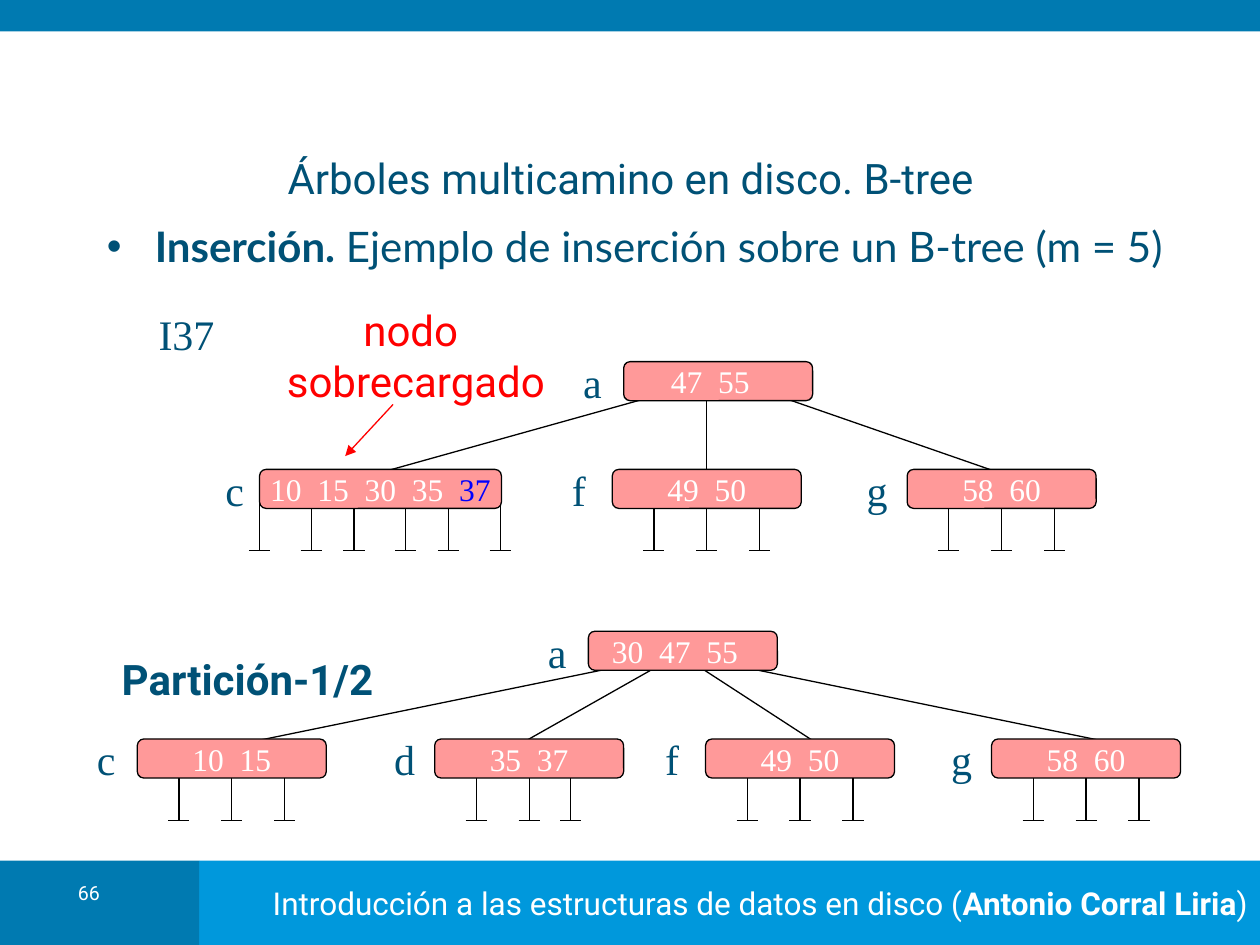
from dataclasses import dataclass

from lxml.etree import SubElement
from pptx import Presentation
from pptx.dml.color import RGBColor as Rgb
from pptx.enum.shapes import MSO_CONNECTOR as Link, MSO_SHAPE as Form
from pptx.enum.text import MSO_ANCHOR as Anchor, PP_ALIGN as Align
from pptx.oxml.ns import qn
from pptx.util import Inches, Pt

COLS, ROWS = 100, 75
WIDE, HIGH = Inches(10), Inches(7.5)


@dataclass(frozen=True)
class Theme:
    """Colours, fonts and type sizes of the slide."""
    dark: str = "007AB1"
    light: str = "0098DC"
    ink: str = "005176"
    white: str = "FFFFFF"
    black: str = "000000"
    pink: str = "FF9999"
    red: str = "FF0000"
    blue: str = "0000FF"
    head: str = "Roboto"
    body: str = "Lato"
    serif: str = "Times New Roman"
    big: float = 24
    mid: float = 18
    small: float = 11.2
    line: float = 0.75


@dataclass(frozen=True)
class Box:
    """A region measured in grid columns and rows."""
    x: float
    y: float
    w: float
    h: float

    def sub(self, x, y, w, h):
        """Return a box placed from this box's corner."""
        return Box(self.x + x, self.y + y, w, h)

    def emu(self):
        """Return left, top, width and height in slide units."""
        return (*spot(self.x, self.y), *spot(self.w, self.h))


@dataclass(frozen=True)
class Node:
    """A tree node, its edge from the root and its leaf ports."""
    name: str
    keys: tuple
    x: float
    edge: tuple = ()
    ports: tuple = (3.3, 7.5, 11.7)
    w: float = 15
    gap: float = 4.2


T = Theme()


def spot(x, y):
    """Turn grid columns and rows into slide units."""
    return round(x * WIDE / COLS), round(y * HIGH / ROWS)


def style(run, font, size, tone, bold=False):
    """Format one run."""
    run.font.name, run.font.size, run.font.bold = font, Pt(size), bold
    run.font.color.rgb = Rgb.from_string(tone)


def write(frame, parts, font, size, align=Align.LEFT, mid=True, wrap=True):
    """Fill a frame's first paragraph with (text, tone, bold) parts."""
    frame.word_wrap = wrap
    frame.vertical_anchor = Anchor.MIDDLE if mid else Anchor.TOP
    para = frame.paragraphs[0]
    para.alignment = align
    for text, tone, bold in parts:
        run = para.add_run()
        run.text = text
        style(run, font, size, tone, bold)
    return para


def label(slide, box, text, font=T.serif, size=T.big, tone=T.ink, bold=False,
          align=Align.LEFT, mid=False):
    """Place a text box with one run."""
    frame = slide.shapes.add_textbox(*box.emu()).text_frame
    return write(frame, [(text, tone, bold)], font, size, align, mid)


def block(slide, box, fill, form=Form.RECTANGLE):
    """Place a filled shape without outline."""
    shape = slide.shapes.add_shape(form, *box.emu())
    shape.shadow.inherit = False
    shape.fill.solid()
    shape.fill.fore_color.rgb = Rgb.from_string(fill)
    shape.line.fill.background()
    return shape


def stroke(slide, box, x1, y1, x2, y2, tone=T.black, arrow=False):
    """Draw a line between two points of a box."""
    ends = spot(box.x + x1, box.y + y1) + spot(box.x + x2, box.y + y2)
    link = slide.shapes.add_connector(Link.STRAIGHT, *ends)
    link.line.color.rgb = Rgb.from_string(tone)
    link.line.width = Pt(T.line)
    if arrow:
        SubElement(link.line._get_or_add_ln(), qn("a:tailEnd"), type="triangle")
    SubElement(link._element.spPr, qn("a:effectLst"))


def knot(slide, box, node, y):
    """Draw a node with its keys and name."""
    shape = block(slide, box.sub(node.x, y, node.w, 3.1), T.pink,
                  Form.ROUNDED_RECTANGLE)
    shape.adjustments[0] = 0.167
    shape.line.color.rgb = Rgb.from_string(T.black)
    shape.line.width = Pt(T.line)
    write(shape.text_frame, [(*key, False) for key in node.keys],
          T.serif, T.mid, Align.CENTER, wrap=False)
    label(slide, box.sub(node.x - node.gap, y - 0.9, 3.3, 5), node.name)


def tree(slide, box, root, kids):
    """Draw a root, its children and their empty leaves."""
    foot = 0.84
    for kid in kids:
        for port in kid.ports:
            x = kid.x + port
            stroke(slide, box, x, box.h - 4.2, x, box.h)
            stroke(slide, box, x - foot, box.h, x + foot, box.h)
        stroke(slide, box, *kid.edge)
    knot(slide, box, root, 0)
    for kid in kids:
        knot(slide, box, kid, 8.55)


def header(slide, box):
    """Place the top band, title and bulleted statement."""
    block(slide, box.sub(0, 0, box.w, 2.5), T.dark)
    label(slide, box.sub(8.3, 12, 83.5, 4.2), "Árboles multicamino en disco. B-tree",
          T.head, align=Align.CENTER, mid=True)
    frame = slide.shapes.add_textbox(*box.sub(7.5, 17, 90.5, 6).emu()).text_frame
    props = frame.paragraphs[0]._p.get_or_add_pPr()
    props.set("marL", str(Inches(0.38)))
    props.set("indent", str(-Inches(0.38)))
    tint = SubElement(props, qn("a:buClr"))
    SubElement(tint, qn("a:srgbClr"), val=T.ink)
    SubElement(props, qn("a:buFont"), typeface="Arial")
    SubElement(props, qn("a:buChar"), char="•")
    write(frame, [("Inserción.", T.ink, True),
                  (" Ejemplo de inserción sobre un B-tree (m = 5)", T.ink, False)],
          T.body, T.big, mid=False)


def footer(slide, box):
    """Place the bottom bands, course name and page number."""
    block(slide, box.sub(0, 0, 18.3, box.h), T.dark)
    band = block(slide, box.sub(15.8, 0, 84.2, box.h), T.light)
    write(band.text_frame,
          [("Introducción a las estructuras de datos en disco (", T.white, False),
           ("Antonio Corral Liria", T.white, True), (")", T.white, False)],
          T.head, T.mid, Align.RIGHT, wrap=False)
    slide.shapes._spTree.remove(slide.shapes[-2]._element)
    block(slide, box.sub(0, 0, 15.8, box.h), T.dark)
    page = label(slide, box.sub(3.5, 1.5, 7.1, 3.2), "66", T.head, T.small,
                 T.white, align=Align.CENTER)
    page.line_spacing = 0.8


def before(slide, box):
    """Draw the tree with its overloaded node."""
    root = Node("a", (("47  55  ", T.white),), 32.6)
    kids = (
        Node("c", (("10  15  30  35  ", T.white), ("37", T.blue)), 3.7,
             (35.9, 2.5, 11.9, 9.2), (0, 4.1, 7.5, 11.6, 15, 19.1), 19.2, 3.7),
        Node("f", (("49  50", T.white),), 31.7, (39.2, 2.5, 39.2, 9.2)),
        Node("g", (("58  60", T.white),), 55.1, (44.2, 2.5, 63.5, 9.2)))
    tree(slide, box, root, kids)
    label(slide, box.sub(-5.3, -4.7, 9.2, 5), "I37")
    frame = slide.shapes.add_textbox(*box.sub(3.9, -9, 23.6, 17).emu()).text_frame
    frame.text = "nodo\n sobrecargado"
    frame.word_wrap, frame.vertical_anchor = True, Anchor.MIDDLE
    for para in frame.paragraphs:
        para.alignment = Align.CENTER
        style(para.runs[0], T.head, T.big, T.red)
    stroke(slide, box, 14.3, 3.4, 10.5, 7.5, T.red, True)


def after(slide, box):
    """Draw the tree once the node is split."""
    root = Node("a", (("30  47  55  ", T.white),), 40)
    kids = (
        Node("c", (("10  15", T.white),), 4.2, (41, 3.1, 11.7, 9.1)),
        Node("d", (("35  37", T.white),), 27.8, (46, 2.5, 34.5, 9), (3.3, 7.5, 10.8)),
        Node("f", (("49  50", T.white),), 49.3, (48.3, 2.5, 58.3, 9)),
        Node("g", (("58  60", T.white),), 72, (53.5, 3.1, 80.3, 8.6)))
    tree(slide, box, root, kids)
    label(slide, box.sub(0.8, 1.3, 24.3, 5), "Partición-1/2", T.head, bold=True,
          align=Align.CENTER, mid=True)


def main():
    """Build and save the slide."""
    deck = Presentation()
    deck.slide_width, deck.slide_height = WIDE, HIGH
    slide = deck.slides.add_slide(deck.slide_layouts[6])
    header(slide, Box(0, 0, COLS, 23))
    footer(slide, Box(0, 68.3, COLS, 6.7))
    before(slide, Box(16.9, 28.7, 70.1, 15))
    after(slide, Box(6.7, 50.1, 87, 15))
    deck.save("out.pptx")


if __name__ == "__main__":
    main()
